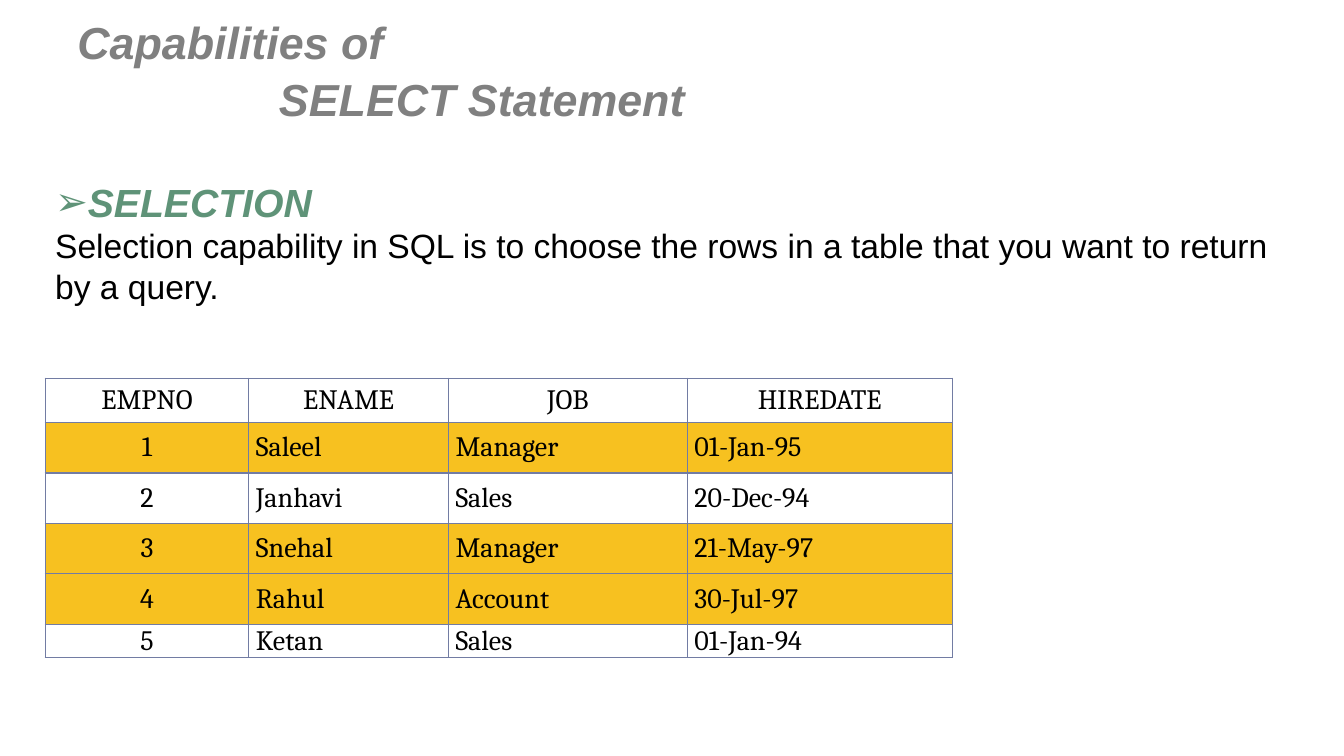
from lxml import etree
from pptx import Presentation
from pptx import util as u
from pptx.dml.color import RGBColor
from pptx.enum import text
from pptx.oxml import ns

HEADING = {"name": "Arial", "size": u.Pt(32), "bold": True, "italic": True}
TOPIC = {**HEADING, "size": u.Pt(28)}
BODY = {"name": "Arial", "size": u.Pt(24), "bold": False, "italic": False}
CELL = {"name": "Cambria", "size": u.Pt(20), "bold": False}
ROWS = [
    ("EMPNO", "ENAME", "JOB", "HIREDATE"),
    ("1", "Saleel", "Manager", "01-Jan-95"),
    ("2", "Janhavi", "Sales", "20-Dec-94"),
    ("3", "Snehal", "Manager", "21-May-97"),
    ("4", "Rahul", "Account", "30-Jul-97"),
    ("5", "Ketan", "Sales", "01-Jan-94"),
]
SELECTED = {"1", "3", "4"}
COLUMN_WIDTHS = [5.13, 5.03, 6.02, 6.68]
ROW_HEIGHTS = [1.12, 1.27, 1.27, 1.27, 1.27, 0.84]


def color(value):
    return RGBColor.from_string(value)


def assign(target, values):
    for key, value in values.items():
        setattr(target, key, value)


def child(parent, tag, **attributes):
    return etree.SubElement(parent, ns.qn(tag), attributes)


class SlideBuilder:
    black = "000000"
    gray = "808080"
    green = "5F9378"
    highlight = "F7C120"
    border = "727CA3"

    def __init__(self, deck):
        self.slide = deck.slides.add_slide(deck.slide_layouts[6])

    def frame(self, left, top, width, height, anchor):
        box = self.slide.shapes.add_textbox(*map(u.Cm, (left, top, width, height)))
        assign(box.text_frame, {"word_wrap": True, "vertical_anchor": anchor})
        return box.text_frame

    def wording(self, paragraph, content, style, ink):
        paragraph.text = content
        for run in paragraph.runs:
            assign(run.font, style)
            run.font.color.rgb = color(ink)

    def title(self, content, tab):
        heading = self.frame(1.7, 0.74, 30.48, 2.54, text.MSO_ANCHOR.BOTTOM).paragraphs[0]
        heading.line_spacing = 1.05
        stops = child(heading._p.get_or_add_pPr(), "a:tabLst")
        child(stops, "a:tab", pos=str(u.Cm(tab)), algn="l")
        self.wording(heading, content, HEADING, self.gray)

    def explanation(self, topic, sentence):
        frame = self.frame(1.14, 3.18, 31.6, 4.7, text.MSO_ANCHOR.TOP)
        heading = frame.paragraphs[0]
        heading.line_spacing = 2.0
        properties = heading._p.get_or_add_pPr()
        child(properties, "a:buFont", typeface="Arial")
        child(properties, "a:buChar", char="➢")
        self.wording(heading, topic, TOPIC, self.green)
        self.wording(frame.add_paragraph(), sentence, BODY, self.black)

    def cell_borders(self, cell):
        properties = cell._tc.get_or_add_tcPr()
        for position, side in enumerate(("a:lnL", "a:lnR", "a:lnT", "a:lnB")):
            line = child(properties, side, w=str(u.Pt(1)))
            properties.insert(position, line)
            child(child(line, "a:solidFill"), "a:srgbClr", val=self.border)

    def table(self, rows, selected):
        grid = self.slide.shapes.add_table(
            len(rows), len(rows[0]), u.Cm(1.14), u.Cm(9.53),
            u.Cm(sum(COLUMN_WIDTHS)), u.Cm(sum(ROW_HEIGHTS))).table
        assign(grid, {"first_row": False, "horz_banding": False})
        for column, width in zip(grid.columns, COLUMN_WIDTHS):
            column.width = u.Cm(width)
        for row, height in zip(grid.rows, ROW_HEIGHTS):
            row.height = u.Cm(height)
        for r, record in enumerate(rows):
            for c, value in enumerate(record):
                cell = grid.cell(r, c)
                assign(cell, {
                    "margin_left": u.Cm(0.18), "margin_right": u.Cm(0.18),
                    "margin_top": 0, "margin_bottom": 0,
                    "vertical_anchor": text.MSO_ANCHOR.MIDDLE})
                if record[0] in selected:
                    cell.fill.solid()
                    cell.fill.fore_color.rgb = color(self.highlight)
                else:
                    cell.fill.background()
                self.cell_borders(cell)
                entry = cell.text_frame.paragraphs[0]
                centered = r == 0 or c == 0
                entry.alignment = text.PP_ALIGN.CENTER if centered else text.PP_ALIGN.LEFT
                self.wording(entry, value, CELL, self.black)


def main():
    deck = Presentation()
    assign(deck, {"slide_width": u.Cm(33.87), "slide_height": u.Cm(19.05)})
    capabilities = SlideBuilder(deck)
    capabilities.explanation(
        "SELECTION",
        "Selection capability in SQL is to choose the rows in a table "
        "that you want to return by a query.")
    capabilities.table(ROWS, SELECTED)
    capabilities.title("Capabilities of\v\tSELECT Statement", 5.08)
    deck.save("out.pptx")


if __name__ == "__main__":
    main()
